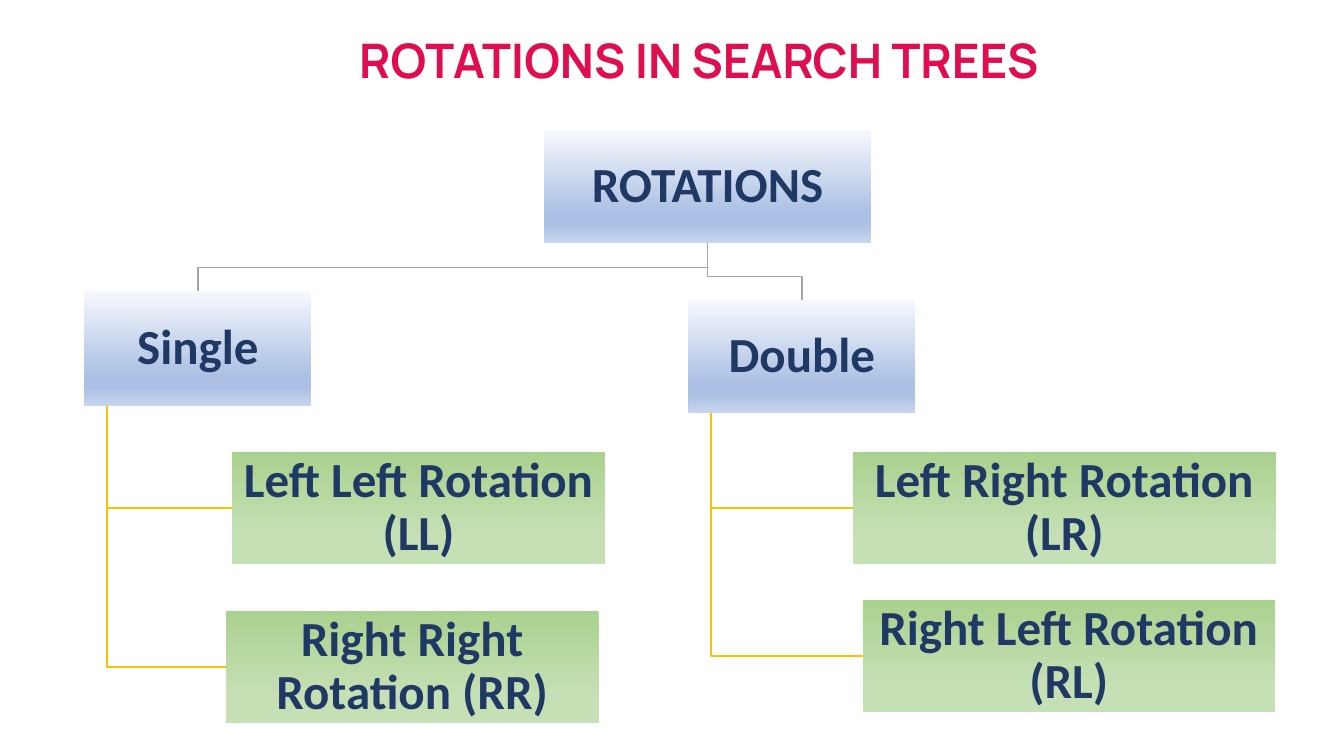
import copy
import pptx
import pptx.dml.color
import pptx.enum.text
import pptx.util
from pptx.enum.shapes import MSO_SHAPE
from pptx.util import Cm, Pt

RGB = pptx.dml.color.RGBColor
NAVY = RGB(0x20, 0x38, 0x64)
CRIMSON = RGB(0xE0, 0x0D, 0x50)
GOLD = RGB(0xFF, 0xC0, 0x00)
GREY = RGB(0xA5, 0xA5, 0xA5)
MIST, BLUE, PALE_BLUE = RGB(0xF6, 0xF8, 0xFC), RGB(0xAB, 0xC0, 0xE4), RGB(0xC7, 0xD5, 0xED)
GREEN, PALE_GREEN = RGB(0xA9, 0xD1, 0x8E), RGB(0xC5, 0xE0, 0xB4)

# Content: text and (left, top, width, height) in cm
TITLE = ("ROTATIONS IN SEARCH TREES", (4.04, 0.2, 27.15, 2.77))
ROOT = ("ROTATIONS", (13.72, 3.28, 8.23, 2.84))
BRANCHES = [
    ("Single", (2.13, 7.34, 5.72, 2.9), [
        ("Left Left Rotation (LL)", (5.84, 11.38, 9.42, 2.84)),
        ("Right Right Rotation (RR)", (5.69, 15.39, 9.4, 2.84)),
    ]),
    ("Double", (17.35, 7.57, 5.72, 2.84), [
        ("Left Right Rotation (LR)", (21.49, 11.38, 10.67, 2.84)),
        ("Right Left Rotation (RL)", (21.74, 15.11, 10.39, 2.84)),
    ]),
]
STOPS = (0, 0.74, 0.83, 1)
NODE_COLORS = (MIST, BLUE, BLUE, PALE_BLUE)
LEAF_COLORS = (GREEN, PALE_GREEN, PALE_GREEN, PALE_GREEN)
ELBOW = 0.6  # height of the elbow above a branch

prs = pptx.Presentation()
prs.slide_width, prs.slide_height = Cm(33.87), Cm(19.05)
s = prs.slides.add_slide(prs.slide_layouts[6])


def write(sp, text, font, size, color):
    tf = sp.text_frame
    tf.word_wrap = True
    tf.vertical_anchor = pptx.enum.text.MSO_ANCHOR.MIDDLE
    p = tf.paragraphs[0]
    p.text = text
    p.alignment = pptx.enum.text.PP_ALIGN.CENTER
    p.line_spacing = 0.9
    p.font.name, p.font.size, p.font.bold = font, Pt(size), True
    p.font.color.rgb = color


def box(text, place, colors):
    sp = s.shapes.add_shape(MSO_SHAPE.RECTANGLE, *map(Cm, place))
    sp.shadow.inherit = False
    sp.line.fill.background()
    sp.fill.gradient()
    sp.fill.gradient_angle = 270
    stops = sp._element.spPr.find(".//" + pptx.oxml.ns.qn("a:gsLst"))
    for _ in range(len(STOPS) - len(stops)):
        stops.append(copy.deepcopy(stops[0]))
    for stop, position, color in zip(sp.fill.gradient_stops, STOPS, colors):
        stop.position = position
        stop.color.rgb = color
    tf = sp.text_frame
    tf.margin_left = tf.margin_right = tf.margin_top = tf.margin_bottom = Cm(0.06)
    write(sp, text, "Calibri", 35, NAVY)


def path_line(points, color):
    start, *rest = [(Cm(x), Cm(y)) for x, y in points]
    builder = s.shapes.build_freeform(*start)
    builder.add_line_segments(rest, close=False)
    sp = builder.convert_to_shape()
    sp.shadow.inherit = False
    sp.fill.background()
    sp.line.color.rgb = color
    sp.line.width = Pt(1)


# Title
title, place = TITLE
write(s.shapes.add_textbox(*map(Cm, place)), title, "Manrope", 34, CRIMSON)

# Lines, behind the boxes
root_x, root_y, root_w, root_h = ROOT[1]
stem_x, stem_y = root_x + root_w / 2, root_y + root_h
for _, (x, y, w, h), leaves in BRANCHES:
    mid = x + w / 2
    path_line([(stem_x, stem_y), (stem_x, y - ELBOW), (mid, y - ELBOW), (mid, y)], GREY)
    trunk = x + w / 10
    for _, (leaf_x, leaf_y, _, leaf_h) in leaves:
        leaf_mid = leaf_y + leaf_h / 2
        path_line([(trunk, y + h), (trunk, leaf_mid), (leaf_x, leaf_mid)], GOLD)

# Boxes
box(*ROOT, NODE_COLORS)
for text, place, leaves in BRANCHES:
    box(text, place, NODE_COLORS)
    for leaf in leaves:
        box(*leaf, LEAF_COLORS)

prs.save("out.pptx")
